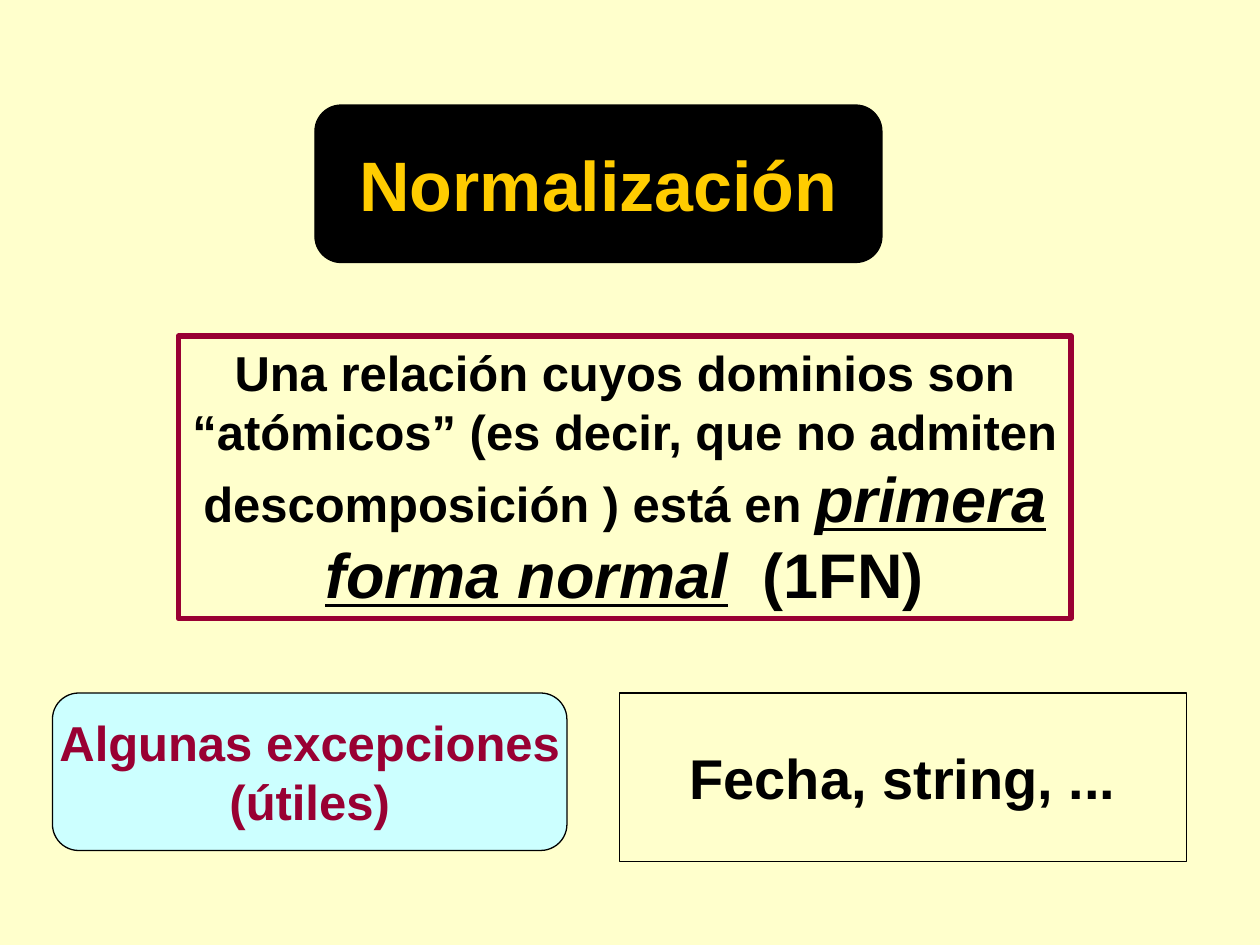
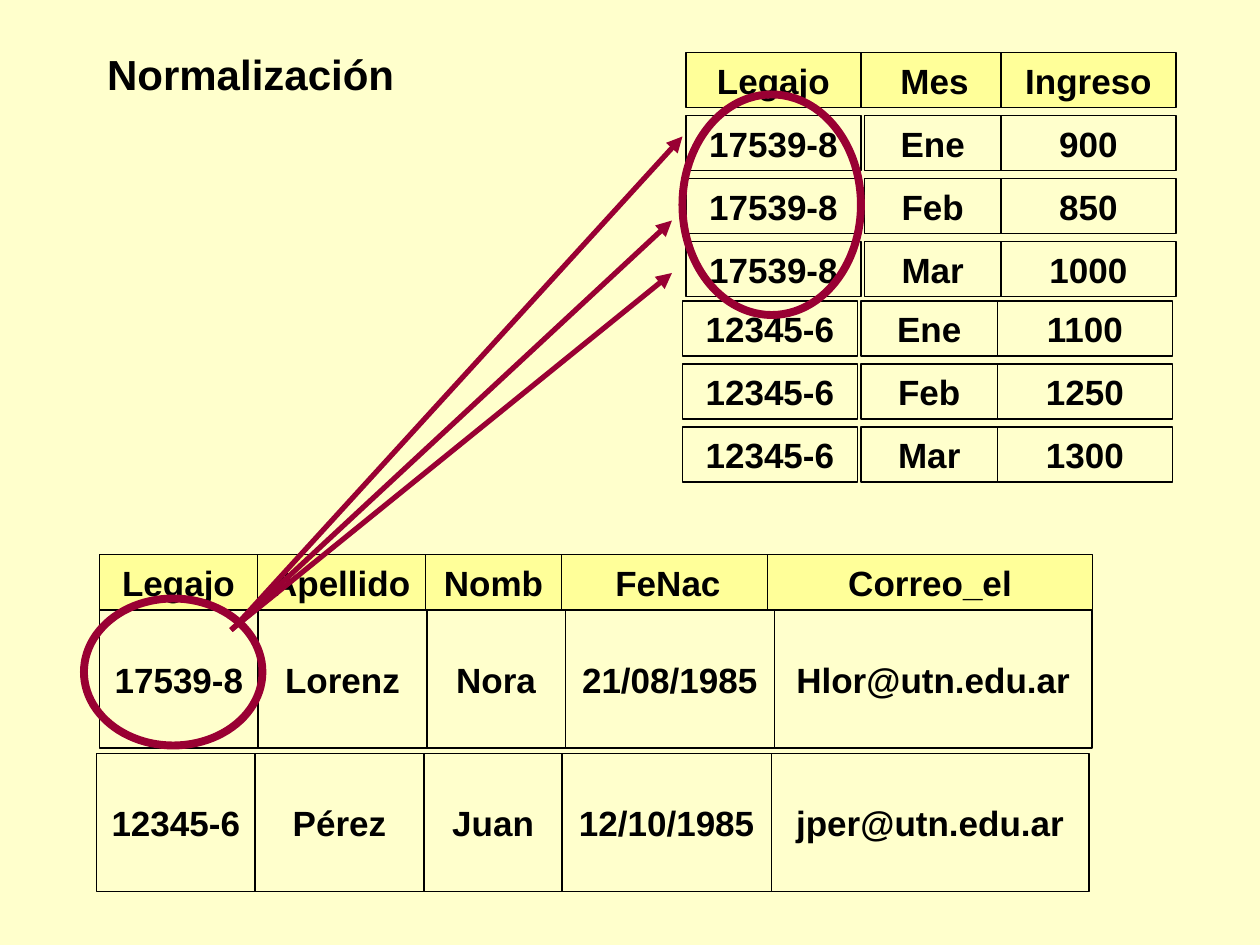
from lxml import etree
from pptx import Presentation
from pptx.dml.color import RGBColor
from pptx.enum.shapes import MSO_CONNECTOR, MSO_SHAPE
from pptx.enum.text import MSO_ANCHOR, MSO_AUTO_SIZE, PP_ALIGN
from pptx.oxml.ns import qn
from pptx.util import Pt

RECTANGLE = MSO_SHAPE.RECTANGLE
ROUNDED = MSO_SHAPE.ROUNDED_RECTANGLE
OVAL = MSO_SHAPE.OVAL
STRAIGHT = MSO_CONNECTOR.STRAIGHT
TOP, MIDDLE = MSO_ANCHOR.TOP, MSO_ANCHOR.MIDDLE
LEFT, CENTER = PP_ALIGN.LEFT, PP_ALIGN.CENTER
NO_AUTOSIZE = MSO_AUTO_SIZE.NONE

COLORS = {
    "background": "FFFFCC",
    "header": "FFFF99",
    "exception": "CCFFFF",
    "accent": "990033",
    "gold": "FFCC00",
    "black": "000000",
}
FONT = "Arial"
TITLE_ONLY = 5
MARGIN_X, MARGIN_Y = 7.2, 3.6
ROW_HEIGHT = 31.5
PERSON_HEIGHT = 79

INCOME_HEADER = [("Legajo", 392, 100), ("Mes", 492, 84), ("Ingreso", 572, 100)]
INCOME_COLUMNS = [(392, 100), (494, 78), (572, 100)]
INCOMES = [
    ("17539-8", 0, 66, [("Ene", "900"), ("Feb", "850"), ("Mar", "1000")]),
    ("12345-6", -2, 172, [("Ene", "1100"), ("Feb", "1250"), ("Mar", "1300")]),
]
INCOME_PITCH = 36

PERSON_HEADER = [
    ("Legajo", 57, 90),
    ("Apellido", 147, 96),
    ("Nomb", 243, 78),
    ("FeNac", 321, 121.5),
    ("Correo_el", 438.5, 186),
]
PERSON_COLUMNS = [(57, 90.5), (147.5, 96.5), (244, 79), (323, 119.5), (442.5, 181.5)]
PERSONS = [
    (0, 348.5, ("17539-8", "Lorenz", "Nora", "21/08/1985", "Hlor@utn.edu.ar")),
    (-1.75, 430.5, ("12345-6", "Pérez", "Juan", "12/10/1985", "jper@utn.edu.ar")),
]


def color(name):
    return RGBColor.from_string(COLORS[name])


def add_span(para, text, size=20, ink="black", italic=False, underline=False):
    span = para.add_run()
    span.text = text
    font = span.font
    font.name, font.size, font.bold = FONT, Pt(size), True
    font.italic, font.underline = italic, underline
    font.color.rgb = color(ink)


def set_frame(shape, anchor=MIDDLE, wrap=False):
    frame = shape.text_frame
    frame.auto_size = NO_AUTOSIZE
    frame.word_wrap = wrap
    frame.vertical_anchor = anchor
    frame.margin_left = frame.margin_right = Pt(MARGIN_X)
    frame.margin_top = frame.margin_bottom = Pt(MARGIN_Y)
    return frame


def write_lines(shape, lines, align=CENTER, anchor=MIDDLE, **style):
    frame = set_frame(shape, anchor)
    for index, line in enumerate(lines):
        para = frame.add_paragraph() if index else frame.paragraphs[0]
        para.alignment = align
        add_span(para, line, **style)


def add_box(page, kind, left, top, width, height, fill=None, line="black", weight=0.75):
    box = page.shapes.add_shape(kind, Pt(left), Pt(top), Pt(width), Pt(height))
    box.shadow.inherit = False
    if fill:
        box.fill.solid()
        box.fill.fore_color.rgb = color(fill)
    else:
        box.fill.background()
    box.line.color.rgb = color(line)
    box.line.width = Pt(weight)
    return box


def place_title(page, text, left, top, width, height, **style):
    title = page.shapes.title
    title.left, title.top = Pt(left), Pt(top)
    title.width, title.height = Pt(width), Pt(height)
    write_lines(title, [text], **style)


def add_row(page, texts, columns, top, height, shift=0, fill=None):
    for text, (left, width) in zip(texts, columns):
        cell = add_box(page, RECTANGLE, left + shift, top, width, height, fill)
        write_lines(cell, [text])


def add_header(page, header, top):
    texts = [text for text, left, width in header]
    columns = [(left, width) for text, left, width in header]
    add_row(page, texts, columns, top, ROW_HEIGHT, fill="header")


def add_ring(page, left, top, width, height):
    add_box(page, OVAL, left, top, width, height, line="accent", weight=4.5)


def add_arrow(page, start, end):
    arrow = page.shapes.add_connector(STRAIGHT, *map(Pt, start + end))
    arrow.line.color.rgb = color("accent")
    arrow.line.width = Pt(3)
    etree.SubElement(arrow.line._get_or_add_ln(), qn("a:tailEnd"), type="triangle")
    etree.SubElement(arrow._element.spPr, qn("a:effectLst"))


def add_page(deck):
    return deck.slides.add_slide(deck.slide_layouts[TITLE_ONLY])


def build_first_normal_form(deck):
    page = add_page(deck)
    title_area = (180, 60, 324, 90)
    plate = add_box(page, ROUNDED, *title_area, fill="black")
    page.shapes._spTree.insert(2, plate._element)
    place_title(page, "Normalización", *title_area, size=40, ink="gold")

    definition = add_box(page, RECTANGLE, 102, 192, 510, 161.5, line="accent", weight=3)
    para = set_frame(definition, TOP, wrap=True).paragraphs[0]
    para.alignment = CENTER
    add_span(
        para,
        "Una relación cuyos dominios son “atómicos” "
        "(es decir, que no admiten descomposición ) está en ",
        size=28,
    )
    add_span(para, "primera forma normal", size=36, italic=True, underline=True)
    add_span(para, "  (1FN)", size=36)

    exceptions = add_box(page, ROUNDED, 30, 396, 294, 90, fill="exception")
    write_lines(exceptions, ["Algunas excepciones", "(útiles)"], size=28, ink="accent")
    examples = add_box(page, RECTANGLE, 354, 396, 324, 96.5)
    write_lines(examples, ["Fecha, string, ..."], size=32)


def build_related_tables(deck):
    page = add_page(deck)
    place_title(page, "Normalización", 54, 24, 204, 36, size=24, align=LEFT, anchor=TOP)

    add_header(page, INCOME_HEADER, 30)
    for file_number, shift, top, months in INCOMES:
        for index, month in enumerate(months):
            row_top = top + index * INCOME_PITCH
            add_row(page, (file_number, *month), INCOME_COLUMNS, row_top, ROW_HEIGHT, shift)

    add_header(page, PERSON_HEADER, 317)
    for shift, top, person in PERSONS:
        add_row(page, person, PERSON_COLUMNS, top, PERSON_HEIGHT, shift)

    add_arrow(page, (138, 354), (390, 78))
    add_ring(page, 390, 54, 102, 126)
    add_ring(page, 48, 342, 102, 84)
    for end in [(384, 126), (384, 156)]:
        add_arrow(page, (132, 360), end)


def main():
    deck = Presentation()
    deck.slide_width, deck.slide_height = Pt(720), Pt(540)
    background = deck.slide_master.background.fill
    background.solid()
    background.fore_color.rgb = color("background")
    build_first_normal_form(deck)
    build_related_tables(deck)
    deck.save("out.pptx")


if __name__ == "__main__":
    main()
